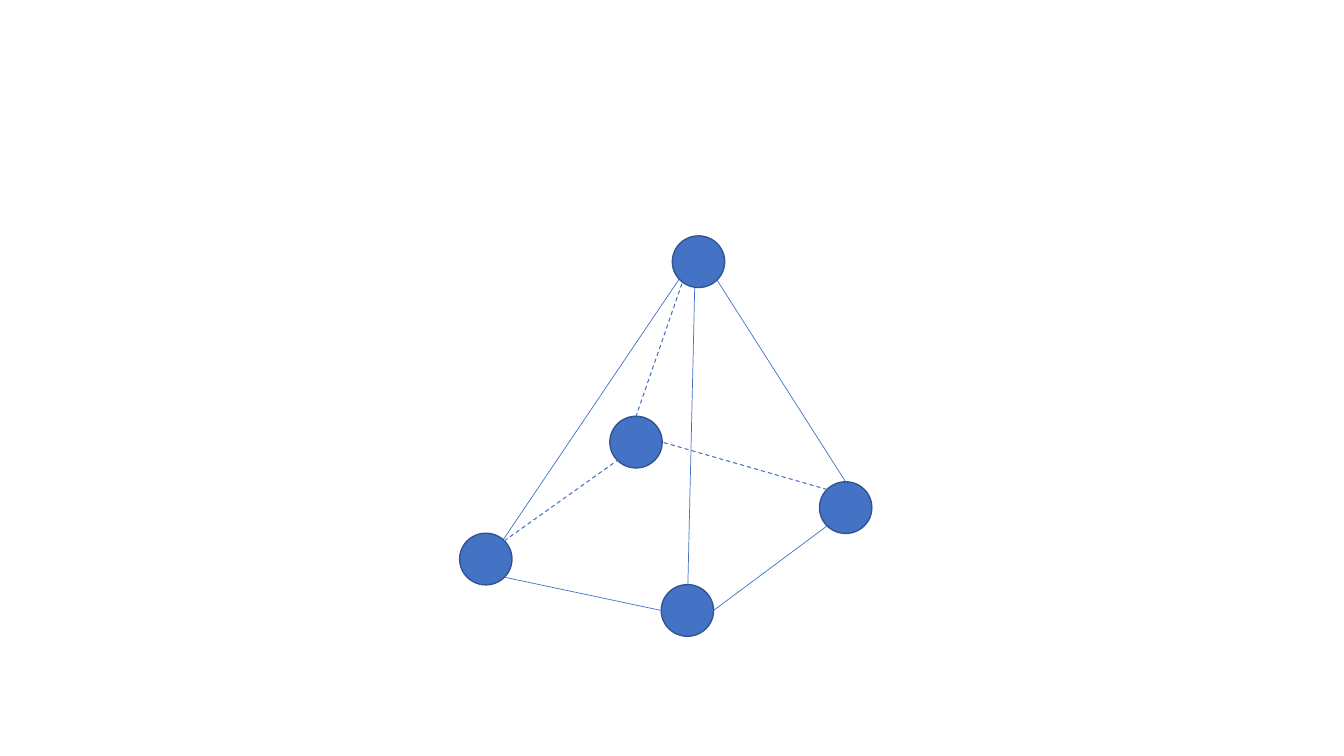
from pptx import Presentation
from pptx import util as u
from pptx.dml.color import RGBColor
from pptx.enum import dml, shapes
from pptx.oxml.ns import qn
from lxml import etree

BLUE, DARK = "4472C4", "325491"
W, H = 37.4, 36.9
BALLS = {
    "apex": (480.24, 168.48),
    "left": (328.32, 380.88),
    "front": (472.32, 417.6),
    "right": (585.36, 344.16),
    "back": (435.6, 297.36),
}
SITES = {
    "top": (0.5, 0), "east": (1, 0.5), "west": (0, 0.5),
    "top left": (0.15, 0.15), "top right": (0.85, 0.15),
    "bottom left": (0.15, 0.85), "bottom right": (0.85, 0.85),
}
INNER_EDGES = [
    ((501.12, 175.68), (349.92, 399.6)),
    ((496.8, 180), (491.04, 432)),
]
EDGES = [
    ("apex", "bottom right", "right", "top", False),
    ("apex", "top", "back", "top", True),
    ("right", "bottom left", "front", "east", False),
    ("front", "west", "left", "bottom right", False),
    ("right", "top left", "back", "east", True),
    ("left", "top right", "back", "bottom left", True),
]


def color(value):
    """Turn a hex string into a colour."""
    return RGBColor.from_string(value)


def site(ball, name):
    """Return the point of a named site on a ball."""
    (x, y), (fx, fy) = BALLS[ball], SITES[name]
    return x + fx * W, y + fy * H


class Sketch:
    """Hold the style and the current slide, and draw its elements."""

    def __init__(self, s, fill, outline):
        self.s, self.fill, self.outline = s, fill, outline

    def ball(self, x, y):
        sp = self.s.shapes.add_shape(
            shapes.MSO_SHAPE.OVAL, u.Pt(x), u.Pt(y), u.Pt(W), u.Pt(H))
        sp.shadow.inherit = False
        sp.fill.solid()
        sp.fill.fore_color.rgb = color(self.fill)
        sp.line.color.rgb = color(self.outline)
        sp.line.width = u.Pt(1)

    def edge(self, start, end, dashed=False):
        cx = self.s.shapes.add_connector(
            shapes.MSO_CONNECTOR.STRAIGHT, *map(u.Pt, (*start, *end)))
        cx.line.color.rgb = color(self.fill)
        cx.line.width = u.Pt(0.75 if dashed else 0.5)
        if dashed:
            cx.line.dash_style = dml.MSO_LINE.DASH
        etree.SubElement(cx._element.spPr, qn("a:effectLst"))


def main():
    """Build the pyramid slide and save it."""
    prs = Presentation()
    prs.slide_width, prs.slide_height = u.Pt(960), u.Pt(540)
    sketch = Sketch(prs.slides.add_slide(prs.slide_layouts[6]), BLUE, DARK)
    for start, end in INNER_EDGES:
        sketch.edge(start, end)
    for x, y in BALLS.values():
        sketch.ball(x, y)
    for ball_a, site_a, ball_b, site_b, dashed in EDGES:
        sketch.edge(site(ball_a, site_a), site(ball_b, site_b), dashed)
    prs.save("out.pptx")


main()
